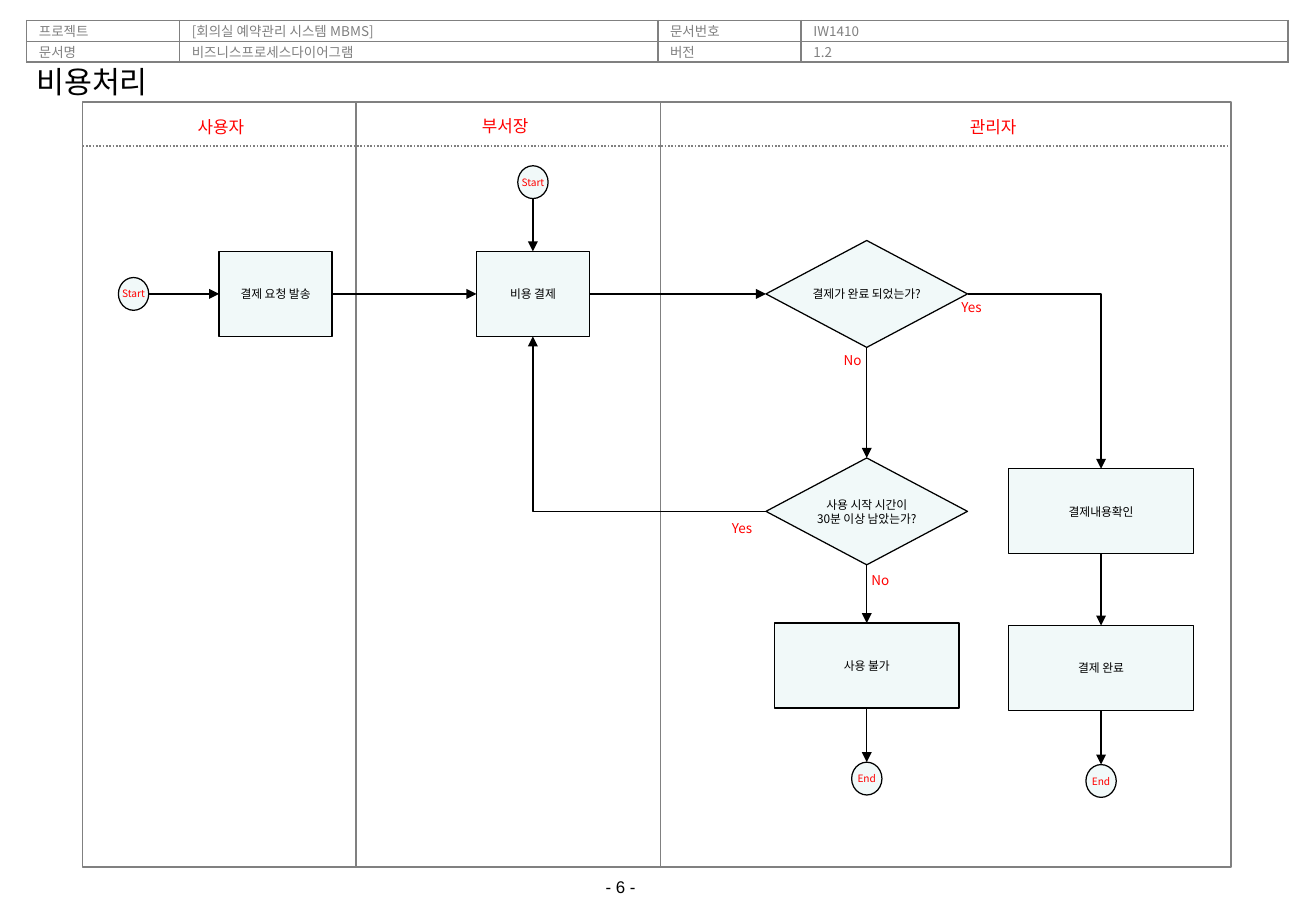
from dataclasses import dataclass

from lxml import etree
from pptx import Presentation
from pptx import util as u
from pptx.dml.color import RGBColor
from pptx.enum import dml, shapes, text
from pptx.oxml import ns


@dataclass(frozen=True)
class Theme:
    font: str = "Noto Sans CJK KR"
    page_font: str = "Arial"
    ink: str = "000000"
    accent: str = "FF0000"
    frame: str = "808080"
    step_fill: str = "F1F9F9"
    paper: str = "FFFFFF"
    title_size: float = 18
    lane_size: float = 10
    label_size: float = 8
    step_size: float = 7
    terminal_size: float = 6
    frame_width: float = 1
    flow_width: float = 0.75


THEME = Theme()
PROCESS = shapes.MSO_SHAPE.FLOWCHART_PROCESS
DECISION = shapes.MSO_SHAPE.FLOWCHART_DECISION
TERMINAL = shapes.MSO_SHAPE.OVAL
TOP, LEFT, BOTTOM, RIGHT = range(4)
CENTER = text.PP_ALIGN.CENTER


def sub(parent, tag, **attributes):
    return etree.SubElement(parent, ns.qn(tag), attributes)


def write(frame, words, size, color, align=text.PP_ALIGN.LEFT, font=THEME.font):
    frame.text = words
    for paragraph in frame.paragraphs:
        paragraph.alignment = align
        for run in paragraph.runs:
            run.font.size = u.Pt(size)
            run.font.name = font
            run.font.color.rgb = RGBColor.from_string(color)
            sub(run.font._element, "a:ea", typeface=font)


def set_margins(frame, across, down):
    frame.margin_left = frame.margin_right = u.Inches(across)
    frame.margin_top = frame.margin_bottom = u.Inches(down)


def style_line(line, color, width):
    line.color.rgb = RGBColor.from_string(color)
    line.width = u.Pt(width)


def add_label(slide, words, box, size, color, wrap=True, margins=(0.1, 0.05), **style):
    label = slide.shapes.add_textbox(*map(u.Inches, box))
    label.text_frame.word_wrap = wrap
    set_margins(label.text_frame, *margins)
    write(label.text_frame, words, size, color, **style)


def add_header(slide):
    rows = (
        ("프로젝트", "[회의실 예약관리 시스템 MBMS]", "문서번호", "IW1410"),
        ("문서명", "비즈니스프로세스다이어그램", "버전", "1.2"),
    )
    widths = (1.26, 3.94, 1.18, 4.01)
    height = 0.17
    header = slide.shapes.add_table(
        len(rows), len(widths), u.Inches(0.22), u.Inches(0.17),
        u.Inches(sum(widths)), u.Inches(height * len(rows))).table
    header.first_row = header.horz_banding = False
    for column, width in zip(header.columns, widths):
        column.width = u.Inches(width)
    for row, entries in zip(header.rows, rows):
        row.height = u.Inches(height)
        for cell, entry in zip(row.cells, entries):
            write(cell.text_frame, entry, THEME.label_size, THEME.frame)
            cell.margin_left = cell.margin_right = u.Inches(0.1)
            cell.margin_top = cell.margin_bottom = 0
            cell.vertical_anchor = text.MSO_ANCHOR.MIDDLE
            for side in ("a:lnL", "a:lnR", "a:lnT", "a:lnB"):
                border = sub(cell._tc.get_or_add_tcPr(), side,
                             w=str(u.Pt(THEME.frame_width)))
                sub(sub(border, "a:solidFill"), "a:srgbClr", val=THEME.frame)
            cell.fill.solid()
            cell.fill.fore_color.rgb = RGBColor.from_string(THEME.paper)


def add_rule(slide, start, end, color, width, kind=shapes.MSO_CONNECTOR.STRAIGHT):
    rule = slide.shapes.add_connector(kind, *map(u.Inches, start + end))
    style_line(rule.line, color, width)
    sub(rule._element.spPr, "a:effectLst")
    return rule


def add_lanes(slide):
    left, top, width, height = 0.68, 0.84, 9.46, 6.3
    outline = slide.shapes.add_shape(
        shapes.MSO_SHAPE.RECTANGLE, *map(u.Inches, (left, top, width, height)))
    outline.shadow.inherit = False
    outline.fill.background()
    style_line(outline.line, THEME.frame, THEME.frame_width)
    for x in (2.93, 5.44):
        add_rule(slide, (x, top), (x, top + height), THEME.frame, THEME.frame_width)
    divider = add_rule(slide, (left, 1.2), (left + width, 1.2),
                       THEME.frame, THEME.frame_width)
    divider.line.dash_style = dml.MSO_LINE.ROUND_DOT
    for role, x, y, span in (("사용자", 0.77, 0.89, 2.1), ("부서장", 3, 0.88, 2.32),
                             ("관리자", 7.02, 0.89, 2.32)):
        add_label(slide, role, (x, y, span, 0.3), THEME.lane_size, THEME.accent,
                  margins=(0.13, 0.07), align=CENTER)


def add_step(slide, kind, words, center, size):
    (x, y), (width, height) = center, size
    step = slide.shapes.add_shape(
        kind, *map(u.Inches, (x - width / 2, y - height / 2, width, height)))
    step.shadow.inherit = False
    step.fill.solid()
    step.fill.fore_color.rgb = RGBColor.from_string(THEME.step_fill)
    style_line(step.line, THEME.ink, THEME.flow_width)
    frame = step.text_frame
    frame.word_wrap = False
    frame.vertical_anchor = text.MSO_ANCHOR.MIDDLE
    set_margins(frame, 0.07, 0.04)
    if kind == TERMINAL:
        write(frame, words, THEME.terminal_size, THEME.accent, CENTER)
    else:
        write(frame, words, THEME.step_size, THEME.ink, CENTER)
    return step


def side_point(step, side):
    across = {LEFT: 0, RIGHT: 1}.get(side, 0.5)
    down = {TOP: 0, BOTTOM: 1}.get(side, 0.5)
    return ((step.left + step.width * across) / u.Inches(1),
            (step.top + step.height * down) / u.Inches(1))


def add_flow(slide, source, source_side, target, target_side):
    bent = source_side % 2 != target_side % 2
    kind = shapes.MSO_CONNECTOR.ELBOW if bent else shapes.MSO_CONNECTOR.STRAIGHT
    flow = add_rule(slide, side_point(source, source_side),
                    side_point(target, target_side), THEME.ink, THEME.flow_width, kind)
    if bent:
        flow._element.spPr.find(ns.qn("a:prstGeom")).set("prst", "bentConnector2")
    if source.auto_shape_type != TERMINAL:
        flow.begin_connect(source, source_side)
    flow.end_connect(target, target_side)
    sub(flow.line._get_or_add_ln(), "a:tailEnd", type="triangle")


def add_process(slide):
    circle, box, wide_box, diamond = (0.25, 0.27), (0.93, 0.7), (1.52, 0.7), (1.66, 0.88)
    user_start = add_step(slide, TERMINAL, "Start", (1.1, 2.42), circle)
    head_start = add_step(slide, TERMINAL, "Start", (4.39, 1.5), circle)
    request = add_step(slide, PROCESS, "결제 요청 발송", (2.27, 2.42), box)
    payment = add_step(slide, PROCESS, "비용 결제", (4.39, 2.42), box)
    paid = add_step(slide, DECISION, "결제가 완료 되었는가?", (7.14, 2.42), diamond)
    time_left = add_step(slide, DECISION, "사용 시작 시간이\n30분 이상 남았는가?",
                         (7.14, 4.21), diamond)
    review = add_step(slide, PROCESS, "결제내용확인", (9.07, 4.21), wide_box)
    complete = add_step(slide, PROCESS, "결제 완료", (9.07, 5.5), wide_box)
    refused = add_step(slide, PROCESS, "사용 불가", (7.14, 5.48), wide_box)
    complete_end = add_step(slide, TERMINAL, "End", (9.07, 6.43), circle)
    refused_end = add_step(slide, TERMINAL, "End", (7.14, 6.41), circle)

    for source, target in ((user_start, request), (request, payment), (payment, paid)):
        add_flow(slide, source, RIGHT, target, LEFT)
    for source, target in ((head_start, payment), (paid, time_left),
                           (time_left, refused), (refused, refused_end),
                           (review, complete), (complete, complete_end)):
        add_flow(slide, source, BOTTOM, target, TOP)
    add_flow(slide, paid, RIGHT, review, TOP)
    add_flow(slide, time_left, LEFT, payment, BOTTOM)

    for answer, x, y in (("Yes", 7.82, 2.41), ("Yes", 5.93, 4.23),
                         ("No", 6.85, 2.85), ("No", 7.08, 4.66)):
        add_label(slide, answer, (x, y, 0.38, 0.24), THEME.label_size, THEME.accent,
                  wrap=False)


def main():
    deck = Presentation()
    deck.slide_width, deck.slide_height = u.Inches(10.84), u.Inches(7.5)
    slide = deck.slides.add_slide(deck.slide_layouts[6])
    add_header(slide)
    add_label(slide, "비용처리", (0.2, 0.47, 2.84, 0.4), THEME.title_size, THEME.ink)
    add_lanes(slide)
    add_process(slide)
    add_label(slide, "- 6 -", (4.89, 7.17, 1, 0.27), THEME.lane_size, THEME.ink,
              wrap=False, font=THEME.page_font)
    deck.save("out.pptx")


if __name__ == "__main__":
    main()
